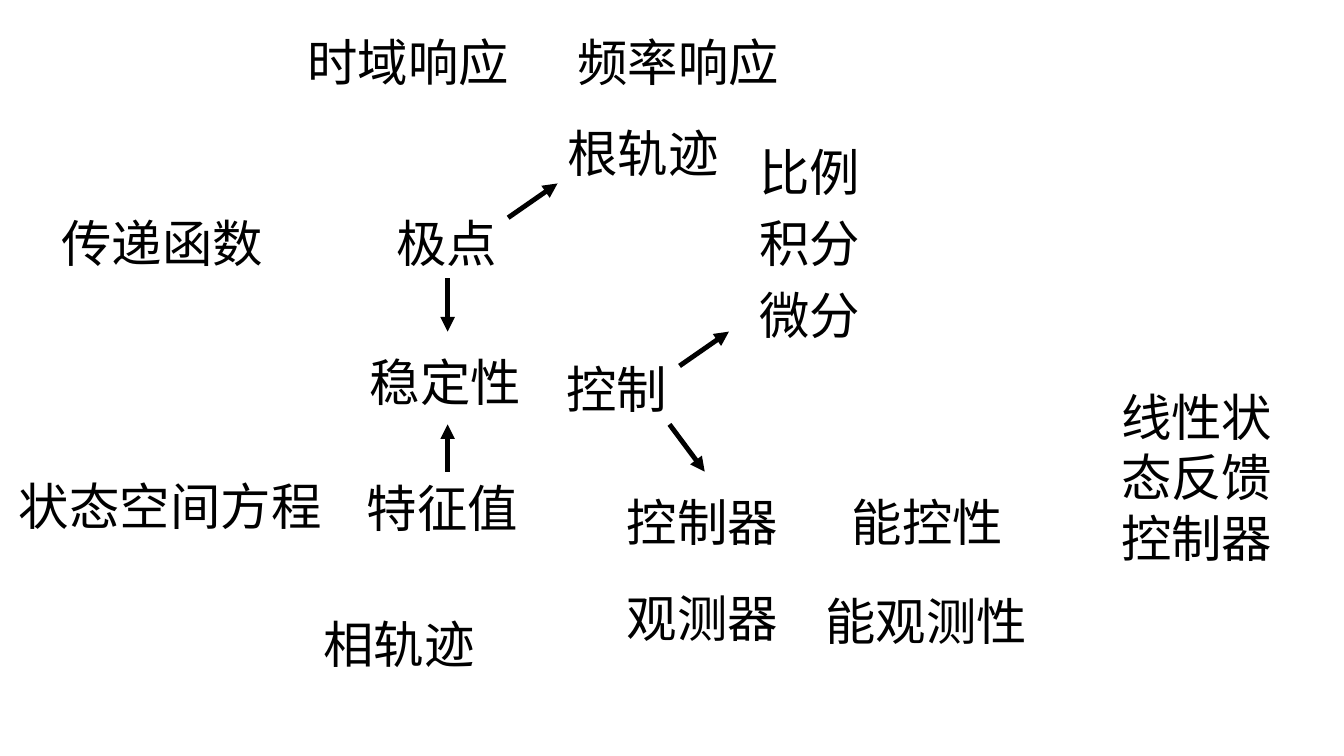
from dataclasses import dataclass

from lxml import etree
from pptx import Presentation
from pptx import util as u
from pptx.dml.color import RGBColor
from pptx.enum import shapes, text
from pptx.oxml.ns import qn

PX = 9144  # 100 px to the inch
ROW = 71   # height of a one-line label
TOP, BOTTOM = 0, 2


@dataclass(frozen=True)
class Theme:
    ink: RGBColor = RGBColor(0, 0, 0)
    font: str = "Noto Sans CJK SC"
    size: float = 36
    line: float = 3.5


THEME = Theme()


def px(n):
    return u.Emu(round(n * PX))


def label(slide, words, x, y, w, h=ROW, size=THEME.size, color=THEME.ink):
    box = slide.shapes.add_textbox(px(x), px(y), px(w), px(h))
    frame = box.text_frame
    frame.word_wrap = True
    frame.auto_size = text.MSO_AUTO_SIZE.SHAPE_TO_FIT_TEXT
    run = frame.paragraphs[0].add_run()
    run.text = words
    font = run.font
    font.size, font.name = u.Pt(size), THEME.font
    font.color.rgb = color
    east = etree.SubElement(run._r.get_or_add_rPr(), qn("a:ea"))
    east.set("typeface", THEME.font)
    return box


def arrow(slide, x1, y1, x2, y2, start=None, side=BOTTOM):
    line = slide.shapes.add_connector(
        shapes.MSO_CONNECTOR.STRAIGHT, px(x1), px(y1), px(x2), px(y2))
    if start is not None:
        line.begin_connect(start, side)
    line.line.color.rgb = THEME.ink
    line.line.width = u.Pt(THEME.line)
    head = etree.SubElement(line.line._get_or_add_ln(), qn("a:tailEnd"))
    head.set("type", "triangle")
    etree.SubElement(line._element.spPr, qn("a:effectLst"))


def models(slide, x, y):
    # System descriptions
    label(slide, "传递函数", x + 42, y, 230)
    label(slide, "状态空间方程", x, y + 261, 337)


def response(slide, x, y):
    # Time and frequency views
    label(slide, "时域响应", x, y, 230)
    label(slide, "频率响应", x + 268, y, 230)


def analysis(slide, x, y):
    # Poles and eigenvalues lead to stability
    mid = x + 133
    pole = label(slide, "极点", mid - 61, y + 89, 122)
    label(slide, "稳定性", x + 46, y + 227, 178)
    eigen = label(slide, "特征值", mid - 90, y + 352, 180)
    arrow(slide, mid, y + 160, mid, y + 213, start=pole)
    arrow(slide, mid, y + 352, mid, y + 305, start=eigen, side=TOP)

    # Trajectories
    label(slide, "根轨迹", x + 242, y, 337)
    label(slide, "相轨迹", x, y + 487, 179)
    arrow(slide, x + 193, y + 100, x + 242, y + 66)


def control(slide, x, y):
    label(slide, "控制", x, y + 215, 130)

    # PID terms
    for i, term in enumerate(("比例", "积分", "微分")):
        label(slide, term, x + 191, y + i * ROW, 130)
    arrow(slide, x + 122, y + 228, x + 171, y + 194)

    # State-space design
    label(slide, "控制器", x + 60, y + 347, 179)
    label(slide, "观测器", x + 60, y + 443, 179)
    label(slide, "能控性", x + 283, y + 347, 172)
    label(slide, "能观测性", x + 257, y + 446, 224)
    label(slide, "线性状态反馈控制器", x + 550, y + 243, 179, h=192)
    arrow(slide, x + 112, y + 286, x + 147, y + 333)


def main():
    deck = Presentation()
    deck.slide_width, deck.slide_height = px(1333), px(750)
    slide = deck.slides.add_slide(deck.slide_layouts[6])
    models(slide, 9, 205)
    response(slide, 295, 26)
    analysis(slide, 311, 116)
    control(slide, 552, 135)
    deck.save("out.pptx")


if __name__ == "__main__":
    main()
